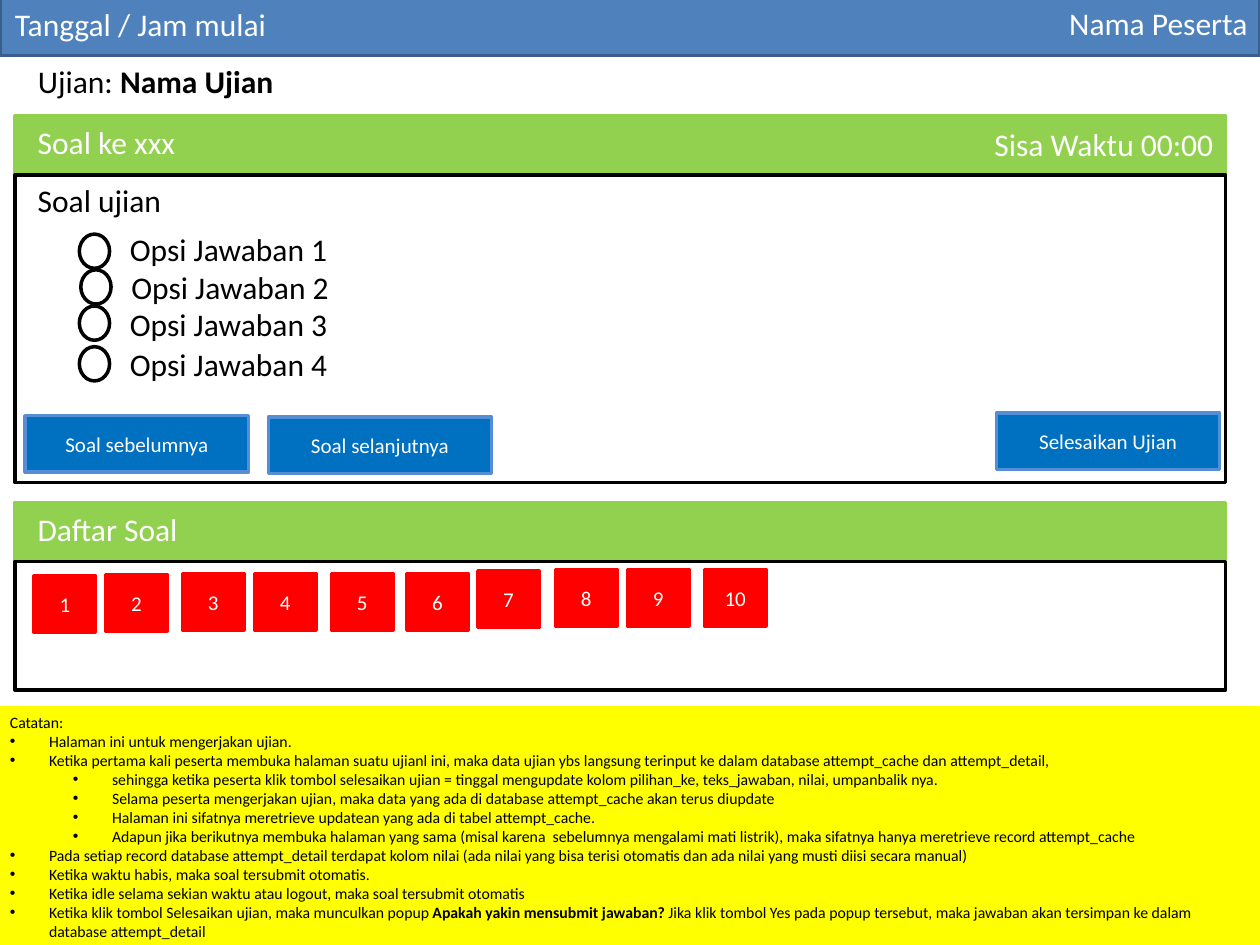
from lxml.etree import SubElement
from pptx import Presentation
from pptx.dml.color import RGBColor
from pptx.enum.shapes import MSO_SHAPE as Shape
from pptx.enum.text import MSO_ANCHOR as Anchor, MSO_AUTO_SIZE as AutoSize, PP_ALIGN as Align
from pptx.oxml.ns import qn
from pptx.util import Cm, Pt

BLACK = RGBColor(0x00, 0x00, 0x00)
WHITE = RGBColor(0xFF, 0xFF, 0xFF)
YELLOW = RGBColor(0xFF, 0xFF, 0x00)
GREEN = RGBColor(0x92, 0xD0, 0x50)
RED = RGBColor(0xFF, 0x00, 0x00)
HEADER_BLUE = RGBColor(0x4F, 0x81, 0xBD)
HEADER_EDGE = RGBColor(0x3A, 0x5F, 0x8C)
BUTTON_BLUE = RGBColor(0x00, 0x70, 0xC0)
BUTTON_EDGE = RGBColor(0x55, 0x8E, 0xD5)

deck = Presentation()
deck.slide_width, deck.slide_height = Cm(25.4), Cm(19.05)
page = deck.slides.add_slide(deck.slide_layouts[5])


def add_box(place, fill, edge, kind=Shape.RECTANGLE, width=2):
    box = page.shapes.add_shape(kind, *map(Cm, place))
    box.shadow.inherit = False
    if fill is None:
        box.fill.background()
    else:
        box.fill.solid()
        box.fill.fore_color.rgb = fill
    box.line.color.rgb = edge
    box.line.width = Pt(width)
    return box


def write(box, paragraphs, size, color, align=Align.LEFT, anchor=Anchor.TOP):
    frame = box.text_frame
    frame.word_wrap = True
    frame.auto_size = AutoSize.NONE
    frame.vertical_anchor = anchor
    for index, spans in enumerate(paragraphs):
        para = frame.add_paragraph() if index else frame.paragraphs[0]
        para.alignment = align
        for position, text in enumerate(spans):
            span = para.add_run()
            span.text = text
            span.font.name = "Calibri"
            span.font.size = Pt(size)
            span.font.bold = position == 1
            span.font.color.rgb = color


exam_title = page.shapes.title
exam_title.left, exam_title.top = Cm(0.51), Cm(1.12)
exam_title.width, exam_title.height = Cm(8.84), Cm(1.02)
write(exam_title, [["Ujian: ", "Nama Ujian"]], 18, BLACK)

notes = [
    (0, ["Halaman ini untuk mengerjakan ujian."]),
    (0, ["Ketika pertama kali peserta membuka halaman suatu ujianl ini, maka data ujian ybs "
         "langsung terinput ke dalam database attempt_cache dan attempt_detail, "]),
    (1, ["sehingga ketika peserta klik tombol selesaikan ujian = tinggal mengupdate kolom "
         "pilihan_ke, teks_jawaban, nilai, umpanbalik nya. "]),
    (1, ["Selama peserta mengerjakan ujian, maka data yang ada di database attempt_cache "
         "akan terus diupdate"]),
    (1, ["Halaman ini sifatnya meretrieve updatean yang ada di tabel attempt_cache."]),
    (1, ["Adapun jika berikutnya membuka halaman yang sama (misal karena  sebelumnya mengalami "
         "mati listrik), maka sifatnya hanya meretrieve record attempt_cache"]),
    (0, ["Pada setiap record database attempt_detail terdapat kolom nilai (ada nilai yang bisa "
         "terisi otomatis dan ada nilai yang musti diisi secara manual)"]),
    (0, ["Ketika waktu habis, maka soal tersubmit otomatis. "]),
    (0, ["Ketika idle selama sekian waktu atau logout, maka soal tersubmit otomatis "]),
    (0, ["Ketika klik tombol Selesaikan ujian, maka munculkan popup ",
         "Apakah yakin mensubmit jawaban? ",
         "Jika klik tombol Yes pada popup tersebut, maka jawaban akan tersimpan ke dalam "
         "database attempt_detail"]),
]
notes_box = add_box((-0.05, 14.25, 25.43, 4.88), YELLOW, YELLOW, width=0.75)
write(notes_box, [["Catatan: "]] + [spans for level, spans in notes], 9, BLACK)
for para, (level, spans) in zip(notes_box.text_frame.paragraphs[1:], notes):
    para.level = level
    properties = para._p.get_or_add_pPr()
    properties.set("marL", str(Cm(0.79 + 1.27 * level)))
    properties.set("indent", str(-Cm(0.79)))
    SubElement(properties, qn("a:buFont")).set("typeface", "Arial")
    SubElement(properties, qn("a:buChar")).set("char", "•")

header = add_box((0, -0.2, 25.4, 1.32), HEADER_BLUE, HEADER_EDGE)
write(header, [["Nama Peserta"]], 18, WHITE, Align.RIGHT, Anchor.MIDDLE)

for bar_top, frame_height in [(2.34, 6.2), (10.13, 2.59)]:
    add_box((0.3, bar_top, 24.41, 1.19), GREEN, GREEN)
    add_box((0.3, bar_top + 1.19, 24.41, frame_height), None, BLACK)

labels = [
    ("Tanggal / Jam mulai", 0.05, -0.03, 11.51, WHITE, Align.LEFT),
    ("Soal ke xxx", 0.51, 2.36, 11.2, WHITE, Align.LEFT),
    ("Sisa Waktu 00:00", 13.51, 2.39, 11.2, WHITE, Align.RIGHT),
    ("Soal ujian", 0.51, 3.53, 8.84, BLACK, Align.LEFT),
    ("Daftar Soal", 0.51, 10.16, 11.2, WHITE, Align.LEFT),
]
options = [(1.6, 4.72, 4.52), (1.63, 5.44, 5.28), (1.6, 6.17, 6.02), (1.6, 6.99, 6.83)]
for number, (left, circle_top, label_top) in enumerate(options, 1):
    add_box((left, circle_top, 0.61, 0.69), WHITE, BLACK, Shape.OVAL)
    labels.append((f"Opsi Jawaban {number}", left + 0.77, label_top, 6.43, BLACK, Align.LEFT))

for text, left, top, width, color, align in labels:
    label = page.shapes.add_textbox(Cm(left), Cm(top), Cm(width), Cm(1.02))
    write(label, [[text]], 18, color, align)

buttons = [
    ("Soal sebelumnya", 0.51, 8.38),
    ("Soal selanjutnya", 5.41, 8.41),
    ("Selesaikan Ujian", 20.09, 8.33),
]
for text, left, top in buttons:
    button = add_box((left, top, 4.5, 1.14), BUTTON_BLUE, BUTTON_EDGE)
    write(button, [[text]], 12, WHITE, Align.CENTER, Anchor.MIDDLE)

tile_lefts = [0.69, 2.13, 3.68, 5.13, 6.68, 8.2, 9.63, 11.2, 12.65, 14.2]
tile_tops = [11.61, 11.58] + [11.56] * 4 + [11.51] + [11.48] * 3
for number, (left, top) in enumerate(zip(tile_lefts, tile_tops), 1):
    tile = add_box((left, top, 1.24, 1.14), RED, RED)
    write(tile, [[str(number)]], 12, WHITE, Align.CENTER, Anchor.MIDDLE)

deck.save("out.pptx")
